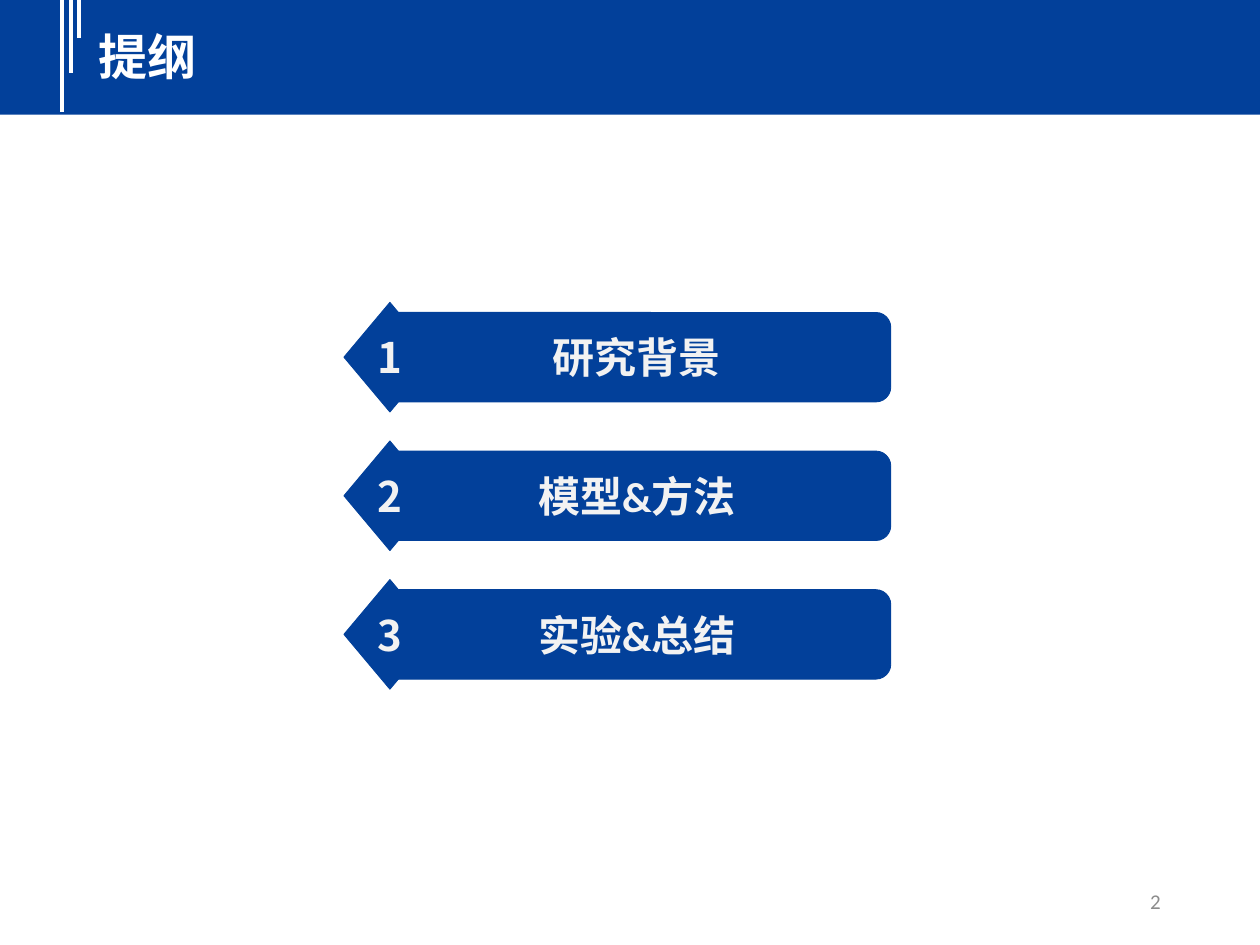
import pptx
import pptx.dml.color
import pptx.enum.shapes
import pptx.enum.text
import pptx.oxml.ns
import pptx.util
from lxml import etree
from pptx.util import Inches

COLORS = {"blue": "02409A", "white": "FFFFFF", "label": "F2F2F2", "number": "8C8C8C"}
CJK = "Noto Sans CJK SC"
LATIN = "Calibri"
TOPICS = ["研究背景", "模型&方法", "实验&总结"]

SHAPE = pptx.enum.shapes.MSO_SHAPE
ALIGN = pptx.enum.text.PP_ALIGN
ANCHOR = pptx.enum.text.MSO_ANCHOR


def rgb(name):
    return pptx.dml.color.RGBColor.from_string(COLORS[name])


def write(shape, text, size, font, color, align, bold=True, wrap=True):
    frame = shape.text_frame
    frame.text = text
    frame.word_wrap = wrap
    frame.vertical_anchor = ANCHOR.MIDDLE
    frame.paragraphs[0].alignment = align
    run = frame.paragraphs[0].runs[0]
    run.font.size = pptx.util.Pt(size)
    run.font.bold = bold
    run.font.name = font
    run.font.color.rgb = rgb(color)
    east_asian = etree.SubElement(run.font._element, pptx.oxml.ns.qn("a:ea"))
    east_asian.set("typeface", CJK)


def add_blue_shape(shapes, kind, left, top, width, height):
    shape = shapes.add_shape(kind, left, top, width, height)
    shape.shadow.inherit = False
    shape.fill.solid()
    shape.fill.fore_color.rgb = rgb("blue")
    shape.line.color.rgb = rgb("blue")
    shape.line.width = pptx.util.Pt(0.5)
    return shape


def add_header(slide, left, top, width, height):
    banner = add_blue_shape(slide.shapes, SHAPE.RECTANGLE, left, top, width, height)
    banner.line.fill.background()

    # Three hanging stripes, each shorter than the one before
    for index, length in enumerate([0.92, 0.61, 0.33]):
        x = left + Inches(0.49 + 0.07 * index)
        stripe = slide.shapes.add_connector(
            pptx.enum.shapes.MSO_CONNECTOR.STRAIGHT, x, top, x, top + Inches(length))
        stripe.line.color.rgb = rgb("white")
        stripe.line.width = pptx.util.Pt(2.25)
        etree.SubElement(stripe.element.spPr, pptx.oxml.ns.qn("a:effectLst"))

    # Title, brought in front of the banner
    title = slide.shapes.title
    title.left, title.top = left + Inches(0.68), top + Inches(0.19)
    title.width, title.height = Inches(9.12), Inches(0.57)
    write(title, "提纲", 28, CJK, "white", ALIGN.LEFT)
    title.element.getparent().append(title.element)


def add_topic(slide, number, topic, left, top, width, height):
    group = slide.shapes.add_group_shape()
    diamond_width, bar_inset = Inches(0.73), Inches(0.31)
    bar_height = Inches(0.71)

    bar = add_blue_shape(group.shapes, SHAPE.ROUNDED_RECTANGLE, left + bar_inset,
                         top + (height - bar_height) // 2, width - bar_inset, bar_height)
    write(bar, topic, 24, LATIN, "label", ALIGN.CENTER, wrap=False)

    diamond = add_blue_shape(group.shapes, SHAPE.DIAMOND, left, top, diamond_width, height)
    write(diamond, str(number), 24, CJK, "label", ALIGN.CENTER, wrap=False)


def add_outline(slide, left, top, width, row_height, pitch):
    for index, topic in enumerate(TOPICS):
        add_topic(slide, index + 1, topic, left, top + pitch * index, width, row_height)


def add_page_number(slide, left, top, width, height):
    page_number = slide.shapes.add_textbox(left, top, width, height)
    write(page_number, "2", 12, LATIN, "number", ALIGN.RIGHT, bold=False)


def main():
    deck = pptx.Presentation()
    deck.slide_width, deck.slide_height = Inches(10), Inches(7.5)
    slide = deck.slides.add_slide(deck.slide_layouts.get_by_name("Title Only"))
    slide.background.fill.solid()
    slide.background.fill.fore_color.rgb = rgb("white")

    add_header(slide, 0, Inches(-0.03), deck.slide_width, Inches(0.94))
    add_outline(slide, Inches(2.73), Inches(2.4), Inches(4.34), Inches(0.87), Inches(1.1))
    add_page_number(slide, Inches(7.06), Inches(6.95), Inches(2.25), Inches(0.4))
    deck.save("out.pptx")


if __name__ == "__main__":
    main()
